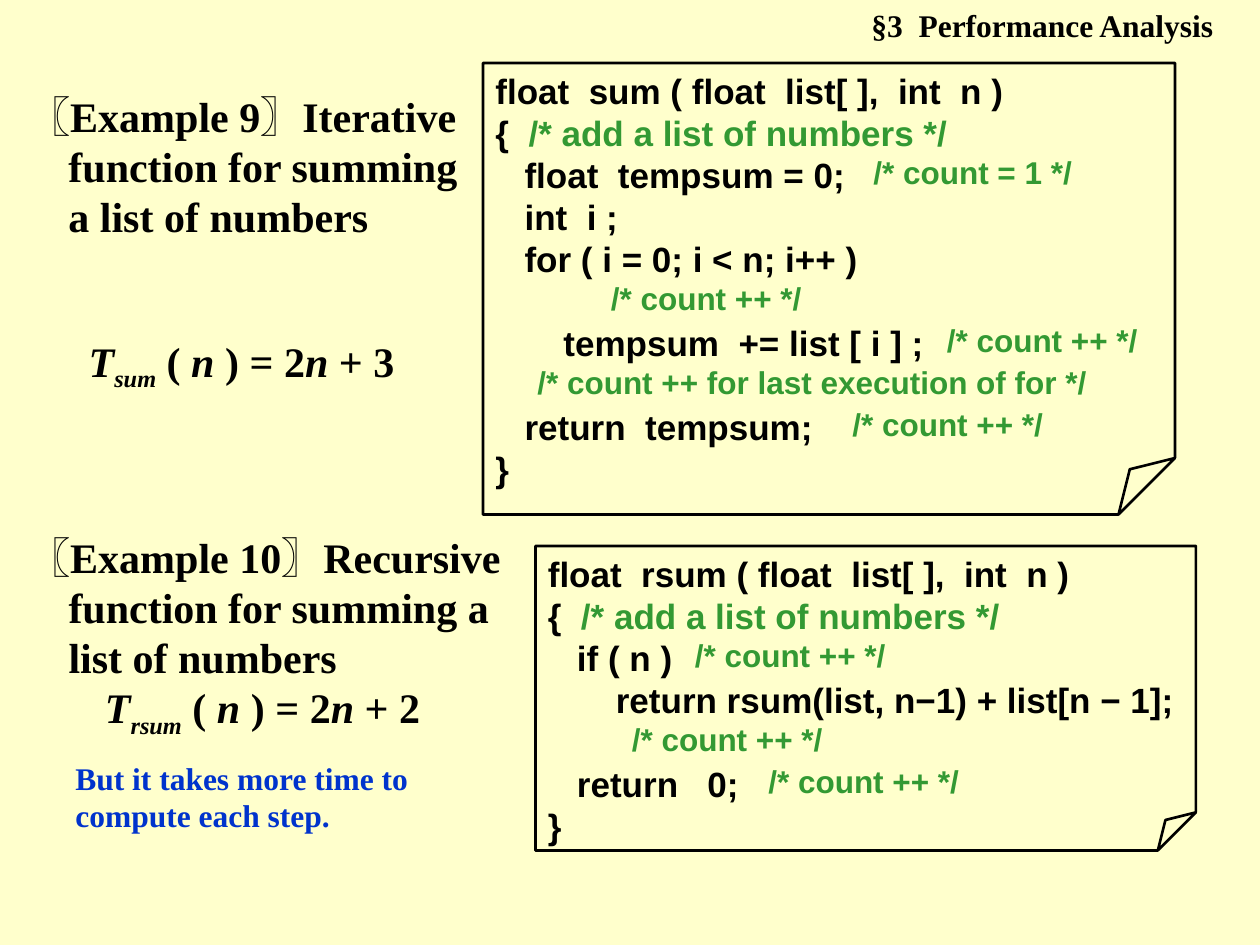
from lxml import etree
from pptx import Presentation
from pptx.dml.color import RGBColor
from pptx.enum.shapes import MSO_SHAPE
from pptx.enum.text import MSO_AUTO_SIZE, PP_ALIGN
from pptx.oxml.ns import qn
from pptx.util import Inches, Pt

FOLDED = MSO_SHAPE.FOLDED_CORNER
GROW = MSO_AUTO_SIZE.SHAPE_TO_FIT_TEXT
CENTER = PP_ALIGN.CENTER
COLORS = {"paper": "FFFFCC", "ink": "000000", "comment": "339933", "remark": "0033CC"}
SERIF, SANS = "Times New Roman", "Arial"
COLUMNS, ROWS = 120, 90
LEADING = 1.2


def color(name):
    return RGBColor.from_string(COLORS[name])


class Sheet:
    """The current slide, its grid and its text style."""

    def __init__(self, deck):
        self.page = deck.slides.add_slide(deck.slide_layouts[6])
        self.column = deck.slide_width / COLUMNS
        self.row = deck.slide_height / ROWS
        fill = self.page.background.fill
        fill.solid()
        fill.fore_color.rgb = color("paper")

    def place(self, left, top, width, height):
        return (round(left * self.column), round(top * self.row),
                round(width * self.column), round(height * self.row))

    def style(self, para, size, font=SERIF, ink="ink"):
        para.line_spacing = Pt(size * LEADING)
        para.font.size, para.font.name, para.font.bold = Pt(size), font, True
        para.font.color.rgb = color(ink)

    def box(self, area, parent=None):
        frame = (parent or self.page).shapes.add_textbox(*self.place(*area)).text_frame
        frame.word_wrap = True
        frame.auto_size = GROW
        return frame

    def text(self, area, words, size, font=SERIF, ink="ink"):
        frame = self.box(area)
        para = frame.paragraphs[0]
        para.text = words
        self.style(para, size, font, ink)
        return frame

    def example(self, area, words):
        para = self.text(area, words, 24).paragraphs[0]
        props = para._p.get_or_add_pPr()
        props.set("marL", str(Inches(0.32)))
        props.set("indent", str(-Inches(0.32)))

    def formula(self, area, name, constant):
        frame = self.box(area)
        para = frame.paragraphs[0]
        para.alignment = CENTER
        self.style(para, 24)
        parts = [("T", True), (name, True), (" (", False), (" n", True),
                 (" ) = 2", False), ("n", True), (f" + {constant}", False)]
        for words, italic in parts:
            span = para.add_run()
            span.text = words
            span.font.italic = italic
            if words == name:
                span._r.get_or_add_rPr().set("baseline", "-25000")
        return frame

    def remark(self, frame, words):
        para = frame.add_paragraph()
        para.text = words
        para.space_before = Pt(11.2)
        self.style(para, 18, ink="remark")

    def code(self, area, note_size, lines):
        """Code on a folded note; an empty line leaves a row for a count."""
        group = self.page.shapes.add_group_shape()
        frame = self.box(area, group)
        gap = 0
        for number, line in enumerate(lines):
            if not line:
                gap += 20 * LEADING
                continue
            para = frame.add_paragraph() if number else frame.paragraphs[0]
            self.style(para, 20, SANS)
            if gap:
                para.space_before = Pt(gap)
                gap = 0
            code, mark, comment = line.partition("/*")
            para.add_run().text = code
            if mark:
                span = para.add_run()
                span.text = mark + comment
                span.font.color.rgb = color("comment")
        note = group.shapes.add_shape(FOLDED, *self.place(*area[:2], *note_size))
        self.fold(note, 0.125)
        note.shadow.inherit = False
        note.fill.background()
        note.line.color.rgb = color("ink")
        note.line.width = Pt(1.5)

    def fold(self, note, share):
        geometry = note._element.spPr.find(qn("a:prstGeom"))
        values = geometry.find(qn("a:avLst"))
        if values is None:
            values = etree.SubElement(geometry, qn("a:avLst"))
        etree.SubElement(values, qn("a:gd"), name="adj", fmla=f"val {round(share * 100000)}")

    def count(self, left, top, words="count ++", width=22):
        self.text((left, top, width, 4.8), f"/* {words} */", 18, SANS, "comment")


def main():
    deck = Presentation()
    deck.slide_width, deck.slide_height = Inches(10), Inches(7.5)
    sheet = Sheet(deck)

    # Section heading
    heading = sheet.text((83, 0, 37, 4.8), "§3  Performance Analysis", 18)
    heading.margin_left = heading.margin_right = 0

    # Iterative sum
    sheet.example((1.5, 8, 45.6, 20.4),
                  "〖Example 9〗Iterative function for summing a list of numbers")
    sheet.code((46, 6, 68, 41.3), (65.9, 43), [
        "float  sum ( float  list[ ],  int  n )",
        "{  /* add a list of numbers */",
        "   float  tempsum = 0;",
        "   int  i ;",
        "   for ( i = 0; i < n; i++ )",
        "",
        "       tempsum  += list [ i ] ;",
        "",
        "   return  tempsum;",
        "}",
    ])
    sheet.count(82, 14, "count = 1")
    sheet.count(57, 26)
    sheet.count(89, 30)
    sheet.count(50, 34, "count ++ for last execution of for", 58)
    sheet.count(80, 38)
    sheet.formula((4, 32, 38, 6.7), "sum", 3)

    # Recursive sum
    sheet.example((1.5, 50, 51, 15.6),
                  "〖Example 10〗Recursive function for summing a list of numbers")
    sheet.code((51, 52, 65, 29.3), (62.9, 29), [
        "float  rsum ( float  list[ ],  int  n )",
        "{  /* add a list of numbers */",
        "   if ( n )",
        "       return rsum(list, n−1) + list[n − 1];",
        "",
        "   return   0;",
        "}",
    ])
    for left, top in [(65, 60), (59, 68), (72, 72)]:
        sheet.count(left, top)
    result = sheet.formula((6, 65, 38, 15.7), "rsum", 2)
    sheet.remark(result, "But it takes more time to compute each step.")

    deck.save("out.pptx")


if __name__ == "__main__":
    main()
